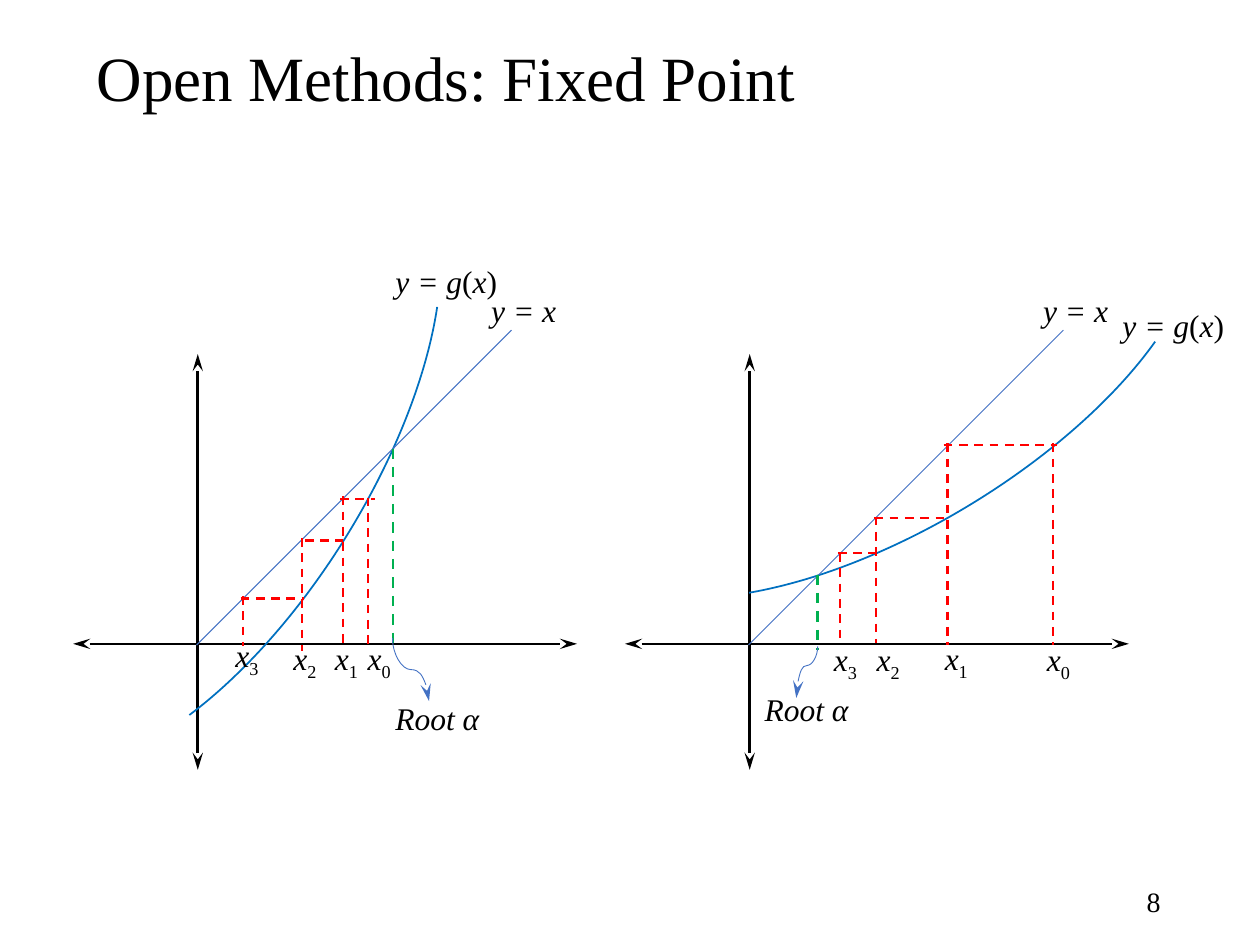
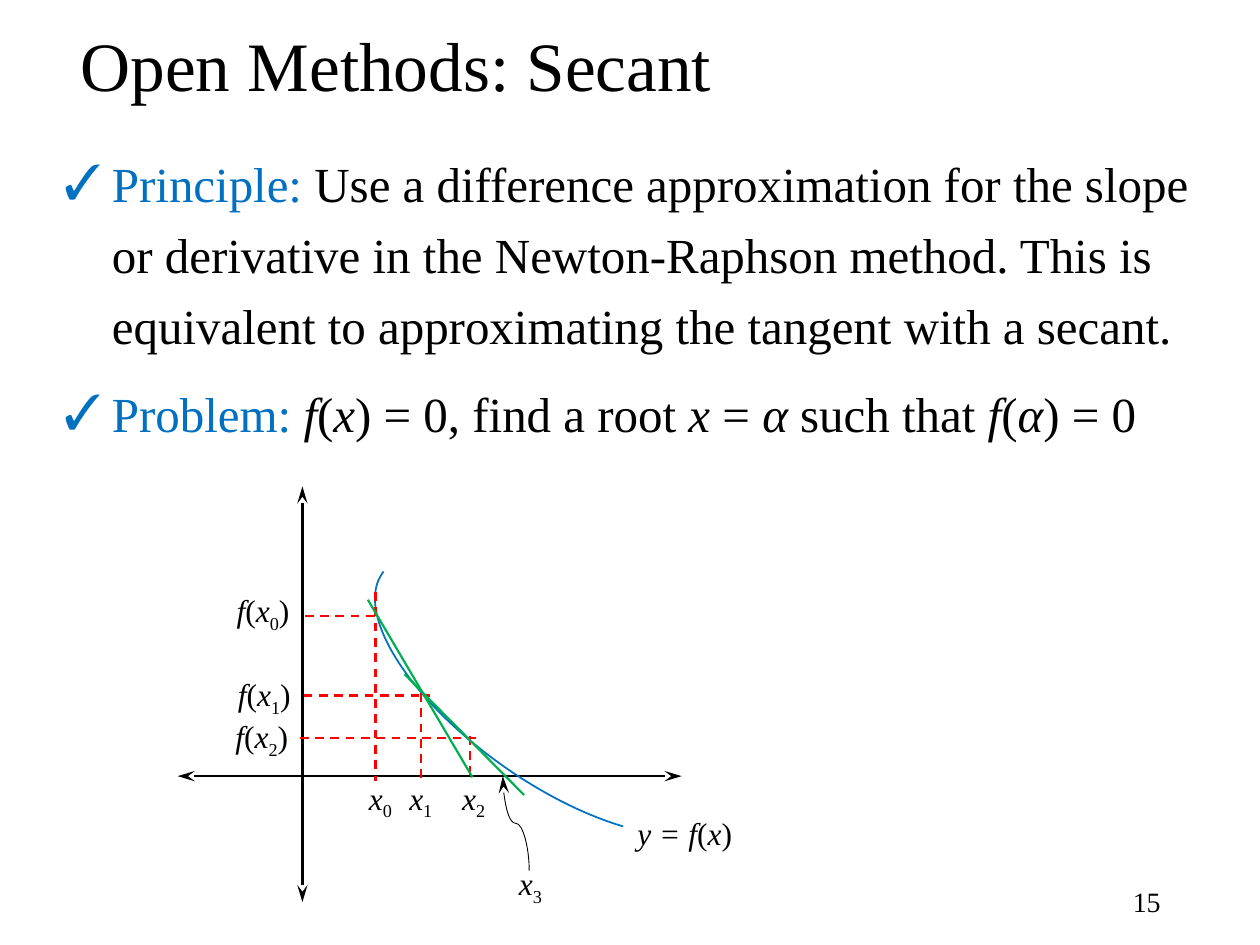
import pptx
import pptx.util
import pptx.dml.color
import pptx.enum.dml
import pptx.enum.shapes
import pptx.enum.text
import pptx.oxml.ns
from lxml import etree

PX = 9144
FONT = "Times New Roman"
COLORS = {"ink": "000000", "curve": "0070C0", "guide": "4472C4",
          "step": "FF0000", "root": "00B050"}
AXIS_X, AXIS_Y = 99, 230
X_LABEL, F_LABEL, WIDE_LABEL = 50, 76, 105


def px(*lengths):
    """Turn px lengths into EMU."""
    return [length * PX for length in lengths]


def rgb(name):
    """Look up a named colour."""
    return pptx.dml.color.RGBColor.from_string(COLORS[name])


def add_xml(parent, tag, **attributes):
    """Append a DrawingML element to a parent."""
    return etree.SubElement(parent, pptx.oxml.ns.qn(tag), attributes)


def add_rich(paragraph, markup, size, color="ink"):
    """Add runs, with *italic* and _subscript_ marks."""
    for i, styled in enumerate(markup.split("*")):
        for j, words in enumerate(styled.split("_")):
            if not words:
                continue
            run = paragraph.add_run()
            run.text = words
            run.font.name = FONT
            run.font.size = pptx.util.Pt(size)
            run.font.italic = i % 2 == 1
            run.font.color.rgb = rgb(color)
            if j % 2:
                run.font._element.set("baseline", "-25000")


def add_text(shapes, box, markup="", size=18, middle=False):
    """Place a wrapping text box and return its frame."""
    frame = shapes.add_textbox(*px(*box)).text_frame
    frame.word_wrap = True
    if middle:
        frame.vertical_anchor = pptx.enum.text.MSO_ANCHOR.MIDDLE
    add_rich(frame.paragraphs[0], markup, size)
    return frame


def style_line(shape, color, width, dashed=False, heads=()):
    """Set stroke, dash and arrowheads of a line."""
    shape.line.color.rgb = rgb(color)
    shape.line.width = pptx.util.Pt(width)
    if dashed:
        shape.line.dash_style = pptx.enum.dml.MSO_LINE.DASH
    for end in heads:
        add_xml(shape.line._ln, f"a:{end}End", type="stealth", w="med", len="lg")


def turn(shape, rotation, flips):
    """Rotate and flip a shape about its centre."""
    xfrm = shape._element.spPr.find(pptx.oxml.ns.qn("a:xfrm"))
    xfrm.set("rot", str(round(rotation * 60000)))
    for axis in flips:
        xfrm.set(f"flip{axis}", "1")


class Plot:
    """A grouped diagram measured from the top left of its axes."""

    def __init__(self, slide, left, top):
        """Start the group and draw both axes."""
        self.shapes = slide.shapes.add_group_shape().shapes
        self.left, self.top = left, top
        both = ("head", "tail")
        self.line((0, AXIS_Y, 400, AXIS_Y), "ink", 1.5, heads=both)
        self.line((AXIS_X, 330, AXIS_X, 0), "ink", 1.5, heads=both)

    def connect(self, kind, ends, *style, **options):
        """Add a connector without a shadow."""
        x1, y1, x2, y2 = ends
        link = self.shapes.add_connector(kind, *px(
            self.left + x1, self.top + y1, self.left + x2, self.top + y2))
        style_line(link, *style, **options)
        add_xml(link._element.spPr, "a:effectLst")
        return link

    def line(self, ends, *style, **options):
        """Draw a straight line."""
        self.connect(pptx.enum.shapes.MSO_CONNECTOR.STRAIGHT, ends, *style, **options)

    def steps(self, segments):
        """Draw the dashed iteration steps."""
        for ends in segments:
            self.line(ends, "step", 1.25, dashed=True)

    def pointer(self, box, rotation, flips, color, head, bend=0.5):
        """Draw an S-shaped arrow in an unrotated box."""
        x, y, width, height = box
        arrow = self.connect(pptx.enum.shapes.MSO_CONNECTOR.CURVE,
                             (x, y, x + width, y + height), color, 0.5, heads=(head,))
        turn(arrow, rotation, flips)
        guides = arrow._element.spPr.find(".//" + pptx.oxml.ns.qn("a:avLst"))
        add_xml(guides, "a:gd", name="adj1", fmla=f"val {round(bend * 100000)}")

    def arc(self, box, rotation, flips, start, end):
        """Draw the function curve between two arc adjustments."""
        x, y, width, height = box
        curve = self.shapes.add_shape(
            pptx.enum.shapes.MSO_SHAPE.ARC,
            *px(self.left + x, self.top + y, width, height))
        curve.shadow.inherit = False
        curve.fill.background()
        style_line(curve, "curve", 1)
        curve.adjustments[0], curve.adjustments[1] = start, end
        turn(curve, rotation, flips)

    def labels(self, width, places):
        """Write math labels of one width."""
        for markup, x, y in places:
            frame = add_text(self.shapes, (self.left + x, self.top + y, width, 40), markup)
            frame.auto_size = pptx.enum.text.MSO_AUTO_SIZE.SHAPE_TO_FIT_TEXT


def fixed_point_plot(slide, left, top, case):
    """Draw one fixed point iteration between y = x and y = g(x)."""
    plot = Plot(slide, left, top)
    plot.arc((*case["arc"], 245, 556), case["tilt"], "H", 177.97, 39.57)
    plot.line((98, 231, 348, -19), "guide", 0.5)
    plot.steps(case["steps"])
    root_x, root_y = case["root"]
    plot.line((root_x, root_y, root_x, 235), "root", 1.5, dashed=True)
    plot.pointer(*case["pointer"])
    plot.labels(X_LABEL, [(f"*x*_{i}_", x, y) for i, (x, y) in enumerate(case["x"])])
    plot.labels(WIDE_LABEL, [("*y = x*", 322, -55),
                             ("*y = g*(*x*)", *case["g_label"]),
                             ("*Root α*", *case["root_label"])])


def secant_plot(slide, left, top):
    """Draw the secant iteration on y = f(x)."""
    plot = Plot(slide, left, top)
    plot.arc((229, -2, 140, 334), 125.1, "", 178.45, 54.34)
    plot.steps([(101, 103, 161, 103), (100, 166, 200, 166), (97, 200, 237, 200),
                (157, 84, 157, 234), (193, 164, 193, 234), (232, 198, 232, 233)])
    for ends in [(151, 90, 234, 231), (180, 149, 275, 245)]:
        plot.line(ends, "root", 1.25)
    plot.pointer((231, 257, 75, 21), 270, "V", "ink", "tail")
    x_places = [(142, 227), (174, 227), (216, 227), (261, 295)]
    f_places = [(37, 78), (38, 145), (36, 178)]
    plot.labels(X_LABEL, [(f"*x*_{i}_", x, y) for i, (x, y) in enumerate(x_places)])
    plot.labels(F_LABEL, [(f"*f*(*x*_{i}_)", x, y) for i, (x, y) in enumerate(f_places)])
    plot.labels(WIDE_LABEL, [("*y = f*(*x*)", 355, 255)])


def add_page(deck, title, title_box, title_size, number):
    """Add a slide with its title and page number."""
    slide = deck.slides.add_slide(deck.slide_layouts[6])
    heading = add_text(slide.shapes, title_box, title, title_size, middle=True)
    heading.paragraphs[0].line_spacing = 0.9
    folio = add_text(slide.shapes, (706, 695, 225, 40), str(number), 16, middle=True)
    folio.paragraphs[0].alignment = pptx.enum.text.PP_ALIGN.RIGHT
    return slide


def check_list(slide, box, points):
    """Write ticked points, each with a coloured lead."""
    frame = add_text(slide.shapes, box)
    for i, (lead, words) in enumerate(points):
        paragraph = frame.add_paragraph() if i else frame.paragraphs[0]
        paragraph.line_spacing = 1.2
        paragraph.space_before = pptx.util.Pt(10 if i else 0)
        properties = paragraph._p.get_or_add_pPr()
        properties.set("marL", str(38 * PX))
        properties.set("indent", str(-38 * PX))
        add_xml(properties, "a:buFont", typeface=FONT)
        add_xml(properties, "a:buChar", char="✓")
        add_rich(paragraph, lead, 28, "curve")
        add_rich(paragraph, words, 28)


DIVERGING = {
    "arc": (-11, -196), "tilt": 212, "root": (254, 75),
    "steps": [(234, 114, 234, 234), (214, 113, 214, 233), (212, 115, 240, 115),
              (184, 148, 214, 148), (182, 146, 182, 236), (133, 194, 183, 194),
              (135, 192, 135, 232)],
    "pointer": ((243, 236, 50, 29), 270, "V", "guide", "head"),
    "x": [(224, 221), (198, 221), (165, 221), (119, 219)],
    "g_label": (246, -78), "root_label": (246, 269),
}
CONVERGING = {
    "arc": (86, -262), "tilt": 239, "root": (153, 175),
    "steps": [(340, 71, 340, 231), (256, 71, 256, 231), (198, 130, 258, 130),
              (169, 158, 199, 158), (199, 129, 199, 229), (253, 72, 343, 72),
              (171, 158, 171, 228)],
    "pointer": ((124, 244, 41, 17), 90, "HV", "guide", "head", 0.63),
    "x": [(325, 222), (244, 221), (190, 222), (156, 222)],
    "g_label": (385, -43), "root_label": (101, 262),
}
SECANT_POINTS = [
    ("Principle: ", "Use a difference approximation for the slope or derivative in the "
     "Newton-Raphson method. This is equivalent to approximating the tangent with a secant."),
    ("Problem: ", "*f*(*x*) = 0, find a root *x* = *α* such that *f*(*α*) = 0"),
]


def main():
    """Build both slides and save the deck."""
    deck = pptx.Presentation()
    deck.slide_width, deck.slide_height = px(1000, 750)

    fixed_point = add_page(deck, "Open Methods: Fixed Point", (67, 35, 845, 58), 36, 8)
    fixed_point_plot(fixed_point, 58, 281, DIVERGING)
    fixed_point_plot(fixed_point, 496, 281, CONVERGING)

    secant = add_page(deck, "Open Methods: Secant", (54, 26, 830, 57), 39.6, 15)
    check_list(secant, (41, 108, 918, 600), SECANT_POINTS)
    secant_plot(secant, 141, 386)

    deck.save("out.pptx")


if __name__ == "__main__":
    main()
